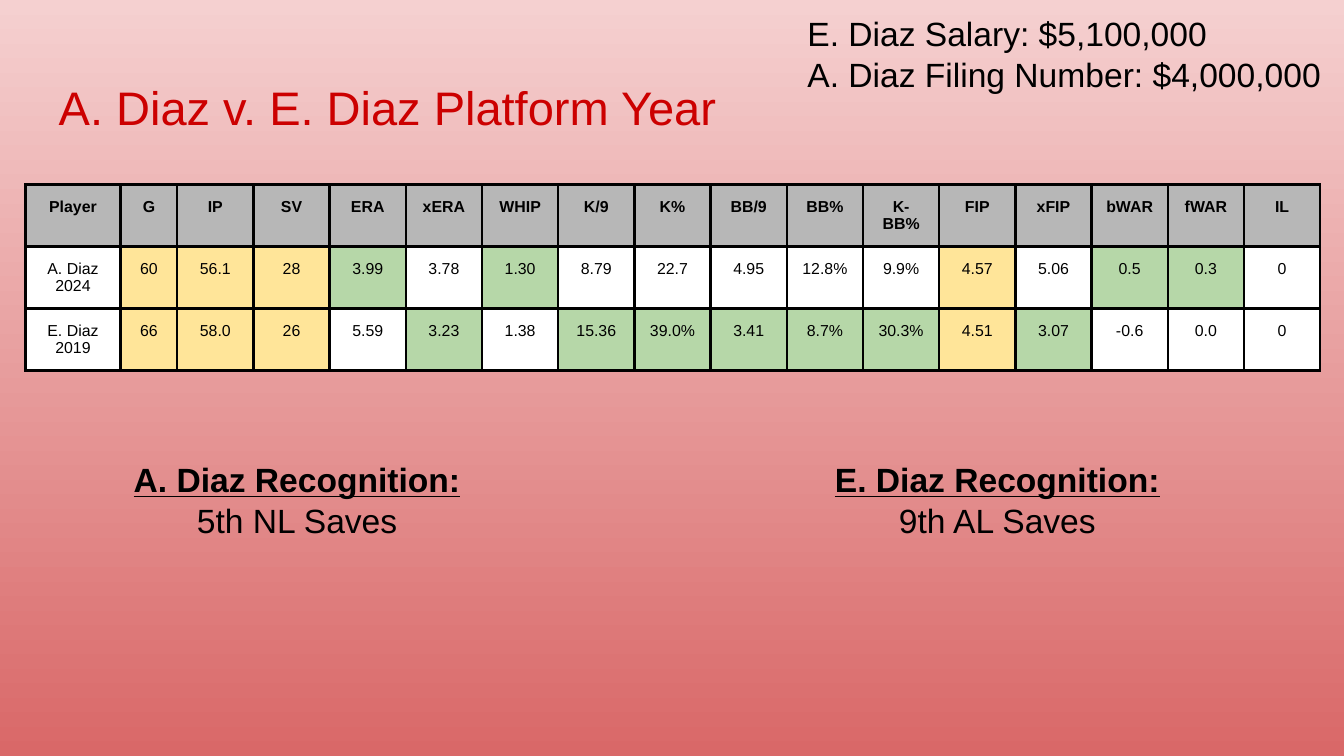
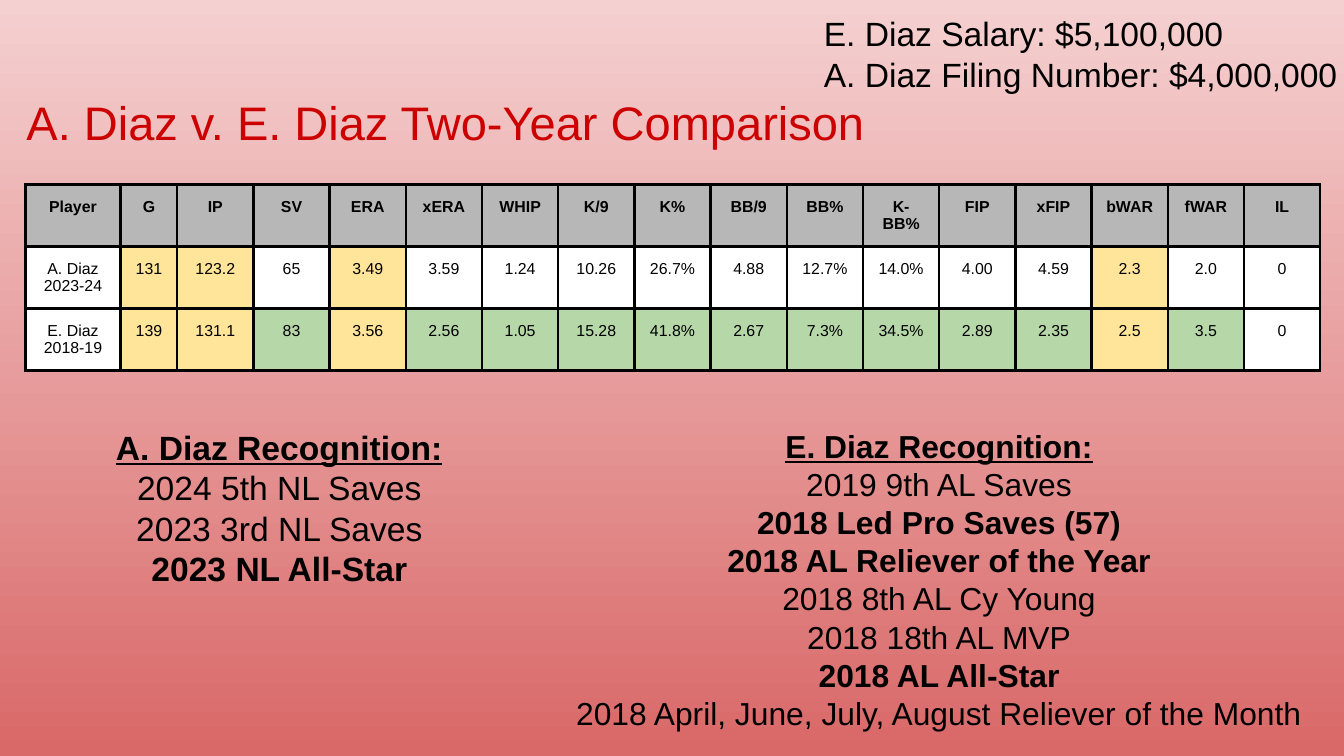
from dataclasses import dataclass

from lxml import etree
from pptx import Presentation
from pptx.dml.color import RGBColor
from pptx.enum import text
from pptx.oxml import ns
from pptx.util import Cm, Pt


@dataclass(frozen=True)
class Theme:
    font: str = "Arial"
    ink: str = "000000"
    title: str = "CC0000"
    header: str = "B7B7B7"
    plain: str = "FFFFFF"
    close: str = "FFE599"
    better: str = "B6D7A8"
    sky: tuple = ("F5D0D0", "D96868")
    title_size: float = 25.2
    body_size: float = 18
    dense_size: float = 17
    table_size: float = 8.5
    border: float = 1.5
    inset: float = 0.25


THEME = Theme()
FILLS = {"h": THEME.header, ".": THEME.plain, "y": THEME.close, "g": THEME.better}

HEADER = ["Player", "G", "IP", "SV", "ERA", "xERA", "WHIP", "K/9", "K%", "BB/9",
          "BB%", "K-\nBB%", "FIP", "xFIP", "bWAR", "fWAR", "IL"]
SALARIES = ["E. Diaz Salary: $5,100,000", "A. Diaz Filing Number: $4,000,000"]

# Boxes are (left, top, width, height) in centimetres.
# Each player row: name, season, statistics, one fill key per cell.
# Each award: (wording, bold).
SLIDES = [
    {
        "title": "A. Diaz v. E. Diaz Platform Year",
        "title_box": (0.86, 1.24, 23.67, 1.6),
        "salary_box": (15.01, 0, 12.7, 2.06),
        "players": [
            ("A. Diaz", "2024",
             "60 56.1 28 3.99 3.78 1.30 8.79 22.7 4.95 12.8% 9.9% 4.57 5.06 0.5 0.3 0",
             ".yyyg.g.....y.gg."),
            ("E. Diaz", "2019",
             "66 58.0 26 5.59 3.23 1.38 15.36 39.0% 3.41 8.7% 30.3% 4.51 3.07 -0.6 0.0 0",
             ".yyy.g.gggggyg..."),
        ],
        "recognition": [
            ("A. Diaz", (1.73, 8.43, 7.77, 3.3), THEME.body_size,
             [("5th NL Saves", False)]),
            ("E. Diaz", (15.27, 8.43, 7.16, 3.3), THEME.body_size,
             [("9th AL Saves", False)]),
        ],
    },
    {
        "title": "A. Diaz v. E. Diaz Two-Year Comparison",
        "title_box": (0.25, 1.52, 23.67, 1.6),
        "salary_box": (15.32, 0, 10.77, 1.42),
        "players": [
            ("A. Diaz", "2023-24",
             "131 123.2 65 3.49 3.59 1.24 10.26 26.7% 4.88 12.7% 14.0% 4.00 4.59 2.3 2.0 0",
             ".yy.y.........y.."),
            ("E. Diaz", "2018-19",
             "139 131.1 83 3.56 2.56 1.05 15.28 41.8% 2.67 7.3% 34.5% 2.89 2.35 2.5 3.5 0",
             ".yygygggggggggyg."),
        ],
        "recognition": [
            ("A. Diaz", (1.7, 7.82, 7.16, 5.05), THEME.body_size,
             [("2024 5th NL Saves", False), ("2023 3rd NL Saves", False),
              ("2023 NL All-Star", True)]),
            ("E. Diaz", (10.36, 7.82, 14.78, 5.36), THEME.dense_size,
             [("2019 9th AL Saves", False), ("2018 Led Pro Saves (57)", True),
              ("2018 AL Reliever of the Year", True), ("2018 8th AL Cy Young", False),
              ("2018 18th AL MVP", False), ("2018 AL All-Star", True),
              ("2018 April, June, July, August Reliever of the Month", False)]),
        ],
    },
]

TABLE_LEFT, TABLE_TOP, ROW_HEIGHT = 0.48, 3.49, 1.07
COLUMN_WIDTHS = [1.8, 1.07] + [1.44] * (len(HEADER) - 2)
LEFT, CENTER = text.PP_ALIGN.LEFT, text.PP_ALIGN.CENTER
MARGINS = dict.fromkeys(
    ("margin_left", "margin_top", "margin_right", "margin_bottom"), Cm(THEME.inset))
FRAME = {**MARGINS, "word_wrap": True, "auto_size": text.MSO_AUTO_SIZE.NONE,
         "vertical_anchor": text.MSO_ANCHOR.TOP}


def apply(target, values):
    for name, value in values.items():
        setattr(target, name, value)


def write(frame, lines, size, alignment=LEFT, color=THEME.ink):
    """Fill a text frame with (wording, font format) lines, one paragraph each."""
    for index, (wording, extra) in enumerate(lines):
        paragraph = frame.add_paragraph() if index else frame.paragraphs[0]
        paragraph.alignment = alignment
        run = paragraph.add_run()
        run.text = wording
        apply(run.font, {"name": THEME.font, "size": Pt(size), **extra})
        run.font.color.rgb = RGBColor.from_string(color)


def add_text(slide, box, lines, size, alignment=LEFT):
    frame = slide.shapes.add_textbox(*map(Cm, box)).text_frame
    apply(frame, FRAME)
    write(frame, lines, size, alignment)


def set_title(slide, wording, box):
    title = slide.shapes.title
    apply(title, dict(zip(("left", "top", "width", "height"), map(Cm, box))))
    apply(title.text_frame, FRAME)
    write(title.text_frame, [(wording, {})], THEME.title_size, color=THEME.title)


def set_background(slide):
    fill = slide.background.fill
    fill.gradient()
    fill.gradient_angle = 270
    for stop, position, color in zip(fill.gradient_stops, (0, 1), THEME.sky):
        stop.position = position
        stop.color.rgb = RGBColor.from_string(color)


def set_borders(cell):
    properties = cell._tc.get_or_add_tcPr()
    for index, side in enumerate(("lnL", "lnR", "lnT", "lnB")):
        line = etree.Element(ns.qn(f"a:{side}"), w=str(Pt(THEME.border)))
        fill = etree.SubElement(line, ns.qn("a:solidFill"))
        etree.SubElement(fill, ns.qn("a:srgbClr"), val=THEME.ink)
        properties.insert(index, line)


def add_statistics(slide, players):
    rows = [(HEADER, "h" * len(HEADER))]
    rows += [([f"{name}\n{season}", *values.split()], keys)
             for name, season, values, keys in players]
    table = slide.shapes.add_table(
        len(rows), len(HEADER), Cm(TABLE_LEFT), Cm(TABLE_TOP),
        Cm(sum(COLUMN_WIDTHS)), Cm(ROW_HEIGHT * len(rows))).table
    for column, width in zip(table.columns, COLUMN_WIDTHS):
        column.width = Cm(width)
    for row, (values, keys) in enumerate(rows):
        for column, (value, key) in enumerate(zip(values, keys)):
            cell = table.cell(row, column)
            apply(cell, MARGINS)
            cell.fill.solid()
            cell.fill.fore_color.rgb = RGBColor.from_string(FILLS[key])
            set_borders(cell)
            lines = [(line, {"bold": row == 0}) for line in value.split("\n")]
            write(cell.text_frame, lines, THEME.table_size, CENTER)


def build_slide(presentation, content):
    slide = presentation.slides.add_slide(presentation.slide_layouts[5])
    set_background(slide)
    set_title(slide, content["title"], content["title_box"])
    add_statistics(slide, content["players"])
    for player, box, size, awards in content["recognition"]:
        lines = [(f"{player} Recognition:", {"bold": True, "underline": True})]
        lines += [(award, {"bold": bold}) for award, bold in awards]
        add_text(slide, box, lines, size, CENTER)
    add_text(slide, content["salary_box"], [(line, {}) for line in SALARIES],
             THEME.body_size)


def main():
    presentation = Presentation()
    apply(presentation, {"slide_width": Cm(25.4), "slide_height": Cm(14.29)})
    for content in SLIDES:
        build_slide(presentation, content)
    presentation.save("out.pptx")


if __name__ == "__main__":
    main()
